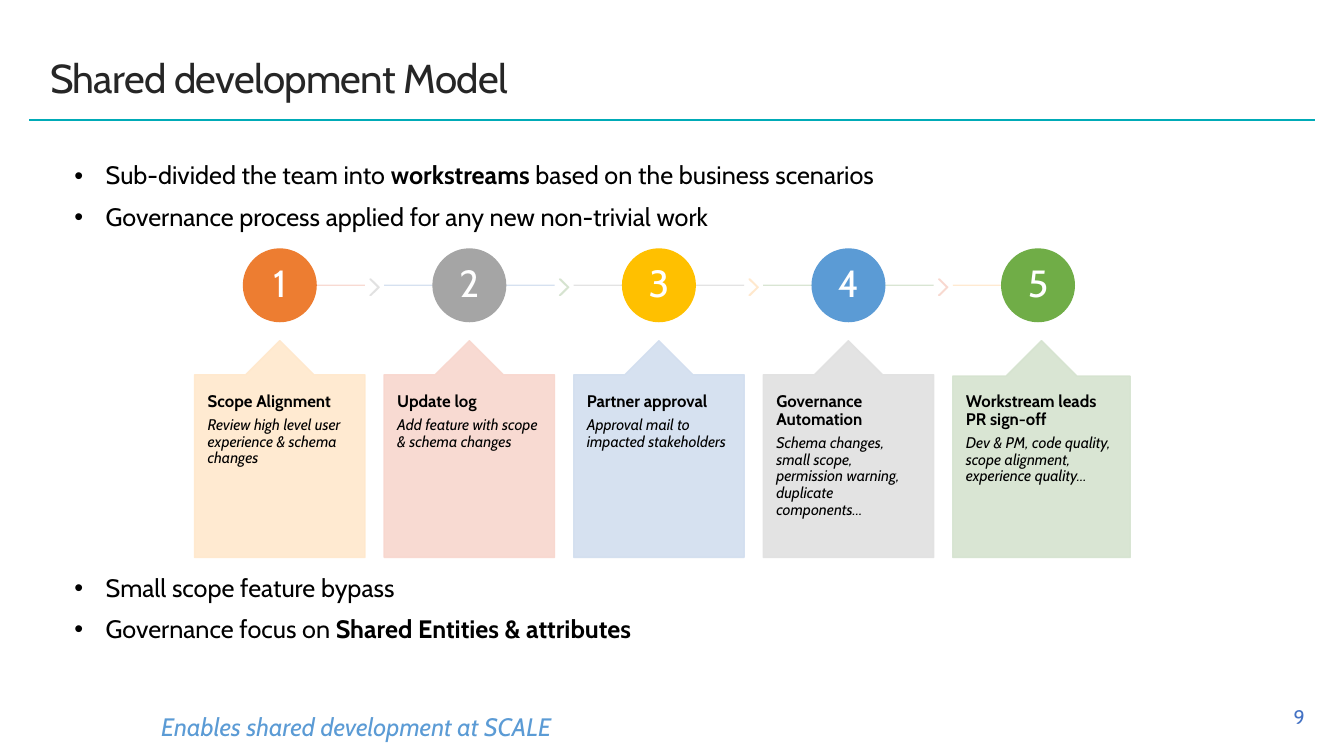
from dataclasses import dataclass

from lxml import etree
from pptx import Presentation
from pptx.dml.color import RGBColor
from pptx.enum.shapes import MSO_CONNECTOR, MSO_SHAPE
from pptx.enum.text import MSO_ANCHOR, PP_ALIGN
from pptx.oxml.ns import qn
from pptx.util import Inches, Pt

TOP, MIDDLE = MSO_ANCHOR.TOP, MSO_ANCHOR.MIDDLE
LEFT, CENTER, RIGHT = PP_ALIGN.LEFT, PP_ALIGN.CENTER, PP_ALIGN.RIGHT
OVAL, CHEVRON, CALLOUT = MSO_SHAPE.OVAL, MSO_SHAPE.CHEVRON, MSO_SHAPE.UP_ARROW_CALLOUT
STRAIGHT = MSO_CONNECTOR.STRAIGHT

FONT = "Cabin"
BLACK = RGBColor(0x00, 0x00, 0x00)
WHITE = RGBColor(0xFF, 0xFF, 0xFF)
CHARCOAL = RGBColor(0x26, 0x26, 0x26)
TEAL = RGBColor(0x00, 0xAB, 0xB7)
INDIGO = RGBColor(0x44, 0x72, 0xC4)
ORANGE = RGBColor(0xED, 0x7D, 0x31)
GRAY = RGBColor(0xA5, 0xA5, 0xA5)
GOLD = RGBColor(0xFF, 0xC0, 0x00)
BLUE = RGBColor(0x5B, 0x9B, 0xD5)
GREEN = RGBColor(0x70, 0xAD, 0x47)
PALE_ORANGE = RGBColor(0xFF, 0xE8, 0xCC)
PALE_RED = RGBColor(0xF8, 0xD7, 0xCE)
PALE_BLUE = RGBColor(0xD2, 0xDE, 0xEF)
PALE_GRAY = RGBColor(0xE1, 0xE1, 0xE1)
PALE_GREEN = RGBColor(0xD5, 0xE3, 0xCF)

STEP_LEFT, STEP_PITCH, STEP_WIDTH = 1.93, 1.88, 1.69
CIRCLE_TOP, CIRCLE_SIZE = 2.47, 0.72
TRACK_Y = 2.83
CARD_TOP, CARD_HEIGHT, POINTER_HEIGHT = 3.38, 2.15, 0.34


@dataclass
class Run:
    text: str
    size: float
    color: RGBColor = BLACK
    bold: bool = False
    italic: bool = False


@dataclass
class Step:
    title: str
    detail: str
    circle: RGBColor
    card: RGBColor
    track: RGBColor
    arrow: RGBColor | None
    track_start: float = 0
    track_end: float = STEP_WIDTH
    width: float = STEP_WIDTH


STEPS = [
    Step("Scope Alignment", "Review high level user experience & schema changes",
         ORANGE, PALE_ORANGE, PALE_RED, PALE_GRAY, track_start=0.94),
    Step("Update log", "Add feature with scope & schema changes",
         GRAY, PALE_RED, PALE_BLUE, PALE_GREEN),
    Step("Partner approval", "Approval mail to impacted stakeholders",
         GOLD, PALE_BLUE, PALE_GRAY, PALE_ORANGE),
    Step("Governance Automation",
         "Schema changes, small scope, permission warning, duplicate components…",
         BLUE, PALE_GRAY, PALE_GREEN, PALE_RED),
    Step("Workstream leads PR sign-off",
         "Dev & PM, code quality, scope alignment, experience quality…",
         GREEN, PALE_GREEN, PALE_ORANGE, None, track_end=0.85, width=1.76),
]


def add_run(p, run: Run):
    r = p.add_run()
    r.text = run.text
    r.font.name, r.font.size = FONT, Pt(run.size)
    r.font.bold, r.font.italic = run.bold, run.italic
    r.font.color.rgb = run.color
    return r


def add_paragraphs(tf, paragraphs: list[list[Run]], anchor=TOP, align=LEFT) -> None:
    tf.word_wrap = True
    tf.vertical_anchor = anchor
    for i, runs in enumerate(paragraphs):
        p = tf.paragraphs[0] if i == 0 else tf.add_paragraph()
        p.alignment = align
        for run in runs:
            add_run(p, run)


def add_text(s, left: float, top: float, width: float, height: float,
             paragraphs: list[list[Run]], anchor=TOP, align=LEFT):
    box = s.shapes.add_textbox(Inches(left), Inches(top), Inches(width), Inches(height))
    add_paragraphs(box.text_frame, paragraphs, anchor, align)
    return box.text_frame


def add_bullets(s, top: float, paragraphs: list[list[Run]]) -> None:
    tf = add_text(s, 0.64, top, 12.05, 0.8, paragraphs)
    for i, p in enumerate(tf.paragraphs):
        pPr = p._p.get_or_add_pPr()
        pPr.set("marL", str(Inches(0.31)))
        pPr.set("indent", str(-Inches(0.31)))
        etree.SubElement(pPr, qn("a:buFont")).set("typeface", "Arial")
        etree.SubElement(pPr, qn("a:buChar")).set("char", "•")
        p.line_spacing = 0.9
        if i:
            p.space_before = Pt(10)


def set_alpha(sp, percent: int) -> None:
    """Make every solid colour of the shape partly transparent."""
    for color in sp._element.spPr.iter(qn("a:srgbClr")):
        etree.SubElement(color, qn("a:alpha")).set("val", str(percent * 1000))


def add_filled(s, kind, left: float, top: float, width: float, height: float,
               color: RGBColor):
    sp = s.shapes.add_shape(kind, Inches(left), Inches(top), Inches(width), Inches(height))
    sp.shadow.inherit = False
    sp.fill.solid()
    sp.fill.fore_color.rgb = color
    sp.line.color.rgb = color
    sp.line.width = Pt(1)
    return sp


def add_line(s, x1: float, x2: float, y: float, color: RGBColor):
    line = s.shapes.add_connector(STRAIGHT, Inches(x1), Inches(y), Inches(x2), Inches(y))
    line.line.color.rgb = color
    line.line.width = Pt(1)
    etree.SubElement(line._element.spPr, qn("a:effectLst"))
    return line


def add_step(s, number: int, step: Step) -> None:
    left = STEP_LEFT + (number - 1) * STEP_PITCH
    set_alpha(add_line(s, left + step.track_start, left + step.track_end,
                       TRACK_Y, step.track), 90)
    if step.arrow is not None:
        chevron = add_filled(s, CHEVRON, left + 1.74, 2.77, 0.09, 0.16, step.arrow)
        chevron.adjustments[0] = 0.9
        set_alpha(chevron, 90)

    circle = add_filled(s, OVAL, left + (STEP_WIDTH - CIRCLE_SIZE) / 2, CIRCLE_TOP,
                        CIRCLE_SIZE, CIRCLE_SIZE, step.circle)
    tf = circle.text_frame
    tf.margin_left = tf.margin_right = tf.margin_top = tf.margin_bottom = Inches(0.03)
    add_paragraphs(tf, [[Run(str(number), 27, WHITE)]], MIDDLE, CENTER)
    tf.paragraphs[0].line_spacing = 0.9

    card = add_filled(s, CALLOUT, left, CARD_TOP, step.width, CARD_HEIGHT, step.card)
    for i, value in enumerate((0.5, 0.2, 0.2, 1)):
        card.adjustments[i] = value
    set_alpha(card, 90)

    tf = add_text(s, left, CARD_TOP + POINTER_HEIGHT, step.width,
                  CARD_HEIGHT - POINTER_HEIGHT,
                  [[Run(step.title, 12, bold=True)], [Run(step.detail, 11, italic=True)]])
    tf.margin_left = tf.margin_right = Inches(0.13)
    tf.margin_top = tf.margin_bottom = Inches(0.18)
    for p in tf.paragraphs:
        p.line_spacing = 0.9
        p.space_after = Pt(4.2)


def main() -> None:
    prs = Presentation()
    prs.slide_width, prs.slide_height = Inches(13.33), Inches(7.5)
    s = prs.slides.add_slide(prs.slide_layouts[6])

    add_line(s, 0.29, 13.04, 1.19, TEAL)
    title = add_text(s, 0.4, 0.5, 12.05, 0.54,
                     [[Run("Shared development Model", 28.8, CHARCOAL)]], MIDDLE)
    title.paragraphs[0].runs[0].font._element.set("spc", "-50")

    add_bullets(s, 1.57, [
        [Run("Sub-divided the team into ", 18), Run("workstreams ", 18, bold=True),
         Run("based on the business scenarios", 18)],
        [Run("Governance process applied for any new non-trivial work", 18)],
    ])
    for number, step in enumerate(STEPS, start=1):
        add_step(s, number, step)
    add_bullets(s, 5.66, [
        [Run("Small scope feature bypass", 18)],
        [Run("Governance focus on ", 18),
         Run("Shared Entities & attributes", 18, bold=True)],
    ])

    add_text(s, 1.5, 7.01, 10.91, 0.4,
             [[Run("Enables shared development at SCALE", 18, BLUE, italic=True)]])
    add_text(s, 12.15, 7.04, 0.89, 0.14, [[Run("9", 14, INDIGO)]], MIDDLE, RIGHT)
    prs.save("out.pptx")


if __name__ == "__main__":
    main()
